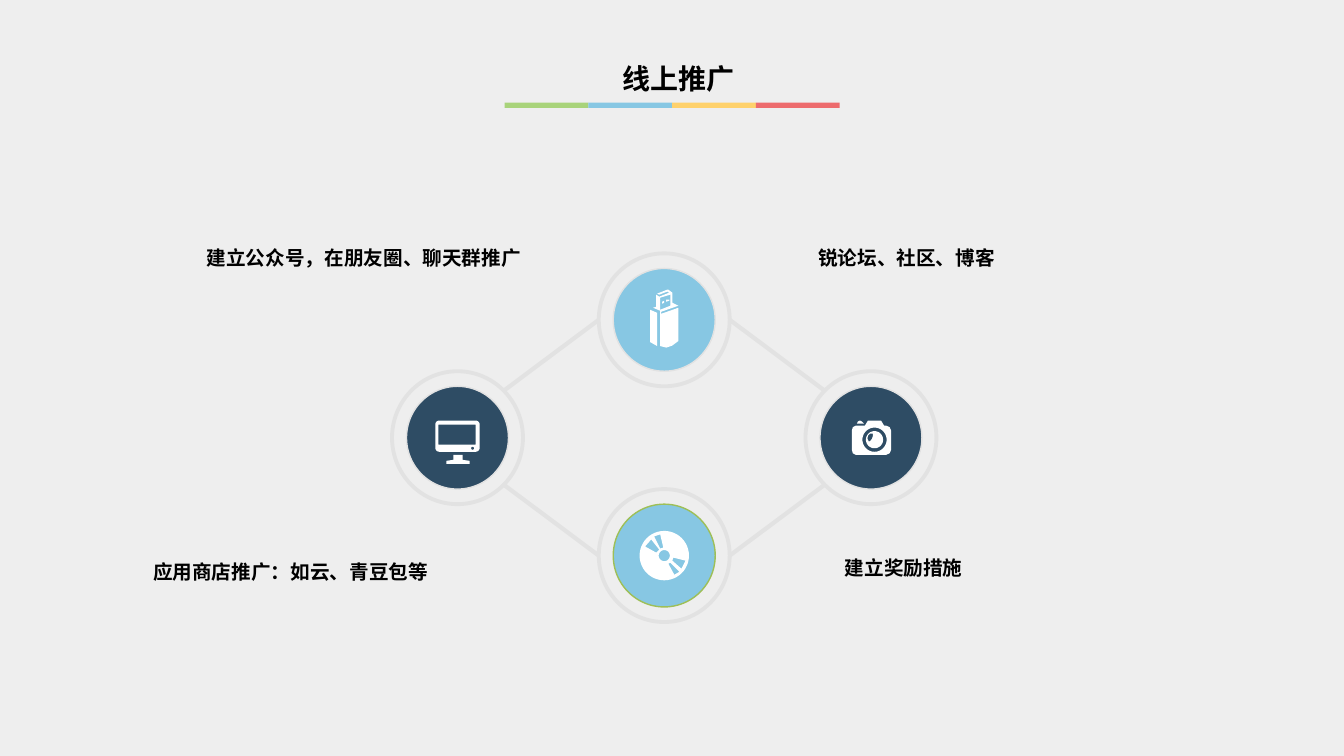
from dataclasses import dataclass
from math import cos, pi, sin, sqrt

from lxml.etree import SubElement
from pptx import Presentation
from pptx.dml.color import RGBColor
from pptx.enum.shapes import MSO_CONNECTOR, MSO_SHAPE
from pptx.enum.text import MSO_ANCHOR, PP_ALIGN
from pptx.oxml.ns import qn
from pptx.util import Cm, Pt


@dataclass(frozen=True)
class Theme:
    """Colours, font and type sizes of the slide."""
    background: str = "EEEEEE"
    green: str = "A8D37A"
    blue: str = "87C7E3"
    yellow: str = "FED16C"
    red: str = "ED6B6D"
    navy: str = "2E4C64"
    ring: str = "E2E2E2"
    disc_edge: str = "9EBF57"
    icon: str = "FFFFFF"
    text: str = "000000"
    font: str = "Noto Sans CJK SC"
    title_size: int = 20
    label_size: int = 14


THEME = Theme()
ICON_UNIT = Cm(0.0254)
RING_WIDTH, RING_HEIGHT = 3.3, 3.35
CORE_WIDTH, CORE_HEIGHT = 2.57, 2.59


def circle(x, y, radius, steps=48):
    """Return the points of a circle."""
    angles = [2 * pi * step / steps for step in range(steps)]
    return [(x + radius * cos(angle), y + radius * sin(angle)) for angle in angles]


def rounded(left, top, right, bottom, radius):
    """Return the points of a rectangle with round corners."""
    corners = [(right - radius, bottom - radius), (left + radius, bottom - radius),
               (left + radius, top + radius), (right - radius, top + radius)]
    return [(x + radius * cos((turn + step / 6) * pi / 2),
             y + radius * sin((turn + step / 6) * pi / 2))
            for turn, (x, y) in enumerate(corners) for step in range(7)]


USB_STICK = [
    [(-14, -10), (-7, -7), (-7, 26), (-14, 22)],
    [(2, -20), (5, -20), (5, -19), (2, -18)],
    [(-2, -18), (0, -19), (0, -17), (-2, -16)],
    [(-5, -23), (-8, -25), (-8, -13), (-11, -12), (-4, -9), (-4, 26), (2, 27.5),
     (8, 25.5), (14, 21), (14, -12), (-3, -6), (-3, -8), (14, -14), (8, -17),
     (8, -27), (4, -30), (3, -30), (-7, -26), (-5, -25), (3, -28), (5, -27)],
    [(6, -25), (-4, -22), (-4, -10), (6, -14)],
]
MONITOR = [
    rounded(-22, -17, 22, 14, 4),
    [(-19, -13), (18, -13), (18, 7), (-19, 7)],
    circle(15, 10.5, 1.5),
    [(-11, 23), (-4, 22), (-4, 17), (5, 17), (5, 22), (12, 23), (12, 26), (-11, 26)],
]
CAMERA = [
    [(-14, -14), (-13, -16), (-11, -17), (-9, -16), (-7, -14)],
    [(-3, -17), (10, -17), (13, -12), (15, -12), (18.5, -10.5), (20, -7), (20, 12),
     (18.5, 15.5), (15, 17), (-15, 17), (-18, 15.5), (-19, 12), (-19, -7),
     (-18, -10.5), (-15, -12), (-6, -12)],
    circle(3.5, 2, 12),
    circle(3.5, 2, 8.5),
    [(2, -4), (-1, -4), (-3, -2), (-3.5, 1), (-2, 4), (-0.5, 3), (1, 1), (2, -2)],
]
DISC = [
    circle(0, 0, 24.5),
    circle(0, 0, 5.5),
    [(-4, -7), (-1, -8), (-4, -21), (-10, -19)],
    [(6, 7), (4, 8), (10, 19), (15, 16)],
    [(21, 5), (9, 2), (8, 5), (17, 13)],
    [(-19, -9), (-8, -3), (-5, -6), (-13, -16)],
]


def colour(code):
    """Turn a hex code into a colour."""
    return RGBColor.from_string(code)


def paint(shape, fill=None, line=None, weight=1):
    """Set fill and outline and remove the shadow."""
    shape.shadow.inherit = False
    if fill:
        shape.fill.solid()
        shape.fill.fore_color.rgb = colour(fill)
    else:
        shape.fill.background()
    if line:
        shape.line.color.rgb = colour(line)
        shape.line.width = Pt(weight)
    else:
        shape.line.fill.background()


def write(frame, text, size, align):
    """Write one bold line into a text frame."""
    para = frame.paragraphs[0]
    para.alignment = align
    span = para.add_run()
    span.text = text
    span.font.size = Pt(size)
    span.font.bold = True
    span.font.color.rgb = colour(THEME.text)
    span.font.name = THEME.font
    SubElement(span.font._element, qn("a:ea")).set("typeface", THEME.font)


def add_heading(page, left, top, width, text):
    """Place the title over a bar of four colours."""
    title = page.shapes.title
    title.left, title.top = Cm(left + 0.82), Cm(top)
    title.width, title.height = Cm(7.14), Cm(1.12)
    title.text_frame.vertical_anchor = MSO_ANCHOR.MIDDLE
    write(title.text_frame, text, THEME.title_size, PP_ALIGN.CENTER)
    bar_colours = (THEME.green, THEME.blue, THEME.yellow, THEME.red)
    part = width / len(bar_colours)
    for index, fill in enumerate(bar_colours):
        bar = page.shapes.add_shape(MSO_SHAPE.RECTANGLE, Cm(left + index * part),
                                    Cm(top + 1.17), Cm(part), Cm(0.13))
        paint(bar, fill)


def add_ellipse(page, x, y, width, height, **style):
    """Place an ellipse around a centre."""
    ellipse = page.shapes.add_shape(MSO_SHAPE.OVAL, Cm(x - width / 2),
                                    Cm(y - height / 2), Cm(width), Cm(height))
    paint(ellipse, **style)


def add_icon(page, x, y, contours):
    """Draw the contours of an icon around a centre."""
    scaled = [[(px * ICON_UNIT, py * ICON_UNIT) for px, py in contour]
              for contour in contours]
    builder = page.shapes.build_freeform(*scaled[0][0])
    for index, contour in enumerate(scaled):
        if index:
            builder.move_to(*contour[0])
        builder.add_line_segments(contour[1:], close=True)
    paint(builder.convert_to_shape(Cm(x), Cm(y)), THEME.icon)


def add_badge(page, x, y, fill, edge, contours):
    """Place a ringed disc with its icon."""
    add_ellipse(page, x, y, CORE_WIDTH, CORE_HEIGHT, fill=fill, line=edge)
    add_ellipse(page, x, y, RING_WIDTH, RING_HEIGHT, line=THEME.ring, weight=2.75)
    add_icon(page, x, y, contours)


def add_link(page, start, end):
    """Draw a straight grey line between two points."""
    link = page.shapes.add_connector(MSO_CONNECTOR.STRAIGHT, *map(Cm, start + end))
    link.line.color.rgb = colour(THEME.ring)
    link.line.width = Pt(3)
    SubElement(link._element.spPr, qn("a:effectLst"))


def add_diamond(page, x, y, reach_x, reach_y):
    """Place four badges around a centre and link them."""
    diagonal_x, diagonal_y = RING_WIDTH / sqrt(8), RING_HEIGHT / sqrt(8)
    for side in (-1, 1):
        for level in (-1, 1):
            add_link(page, (x + side * RING_WIDTH / 2, y + level * reach_y),
                     (x + side * (reach_x - diagonal_x), y + level * diagonal_y))
    add_badge(page, x, y - reach_y, THEME.blue, THEME.ring, USB_STICK)
    add_badge(page, x - reach_x, y, THEME.navy, THEME.ring, MONITOR)
    add_badge(page, x + reach_x, y, THEME.navy, THEME.ring, CAMERA)
    add_badge(page, x, y + reach_y, THEME.blue, THEME.disc_edge, DISC)


def add_label(page, left, top, text):
    """Place one label beside the diamond."""
    box = page.shapes.add_textbox(Cm(left), Cm(top), Cm(10.41), Cm(0.94))
    frame = box.text_frame
    frame.word_wrap = True
    frame.margin_left = frame.margin_right = Cm(0.33)
    frame.margin_top = frame.margin_bottom = Cm(0.18)
    write(frame, text, THEME.label_size, PP_ALIGN.LEFT)


def main():
    """Build the slide and save it."""
    deck = Presentation()
    deck.slide_width, deck.slide_height = Cm(33.87), Cm(19.05)
    page = deck.slides.add_slide(deck.slide_layouts[5])
    page.background.fill.solid()
    page.background.fill.fore_color.rgb = colour(THEME.background)
    add_heading(page, 12.72, 1.42, 8.44, "线上推广")
    add_diamond(page, 16.74, 11.03, 5.21, 2.97)
    add_label(page, 4.88, 6.01, "建立公众号，在朋友圈、聊天群推广")
    add_label(page, 20.29, 6.02, "锐论坛、社区、博客")
    add_label(page, 3.53, 13.93, "应用商店推广：如云、青豆包等")
    add_label(page, 20.96, 13.84, "建立奖励措施")
    deck.save("out.pptx")


if __name__ == "__main__":
    main()
